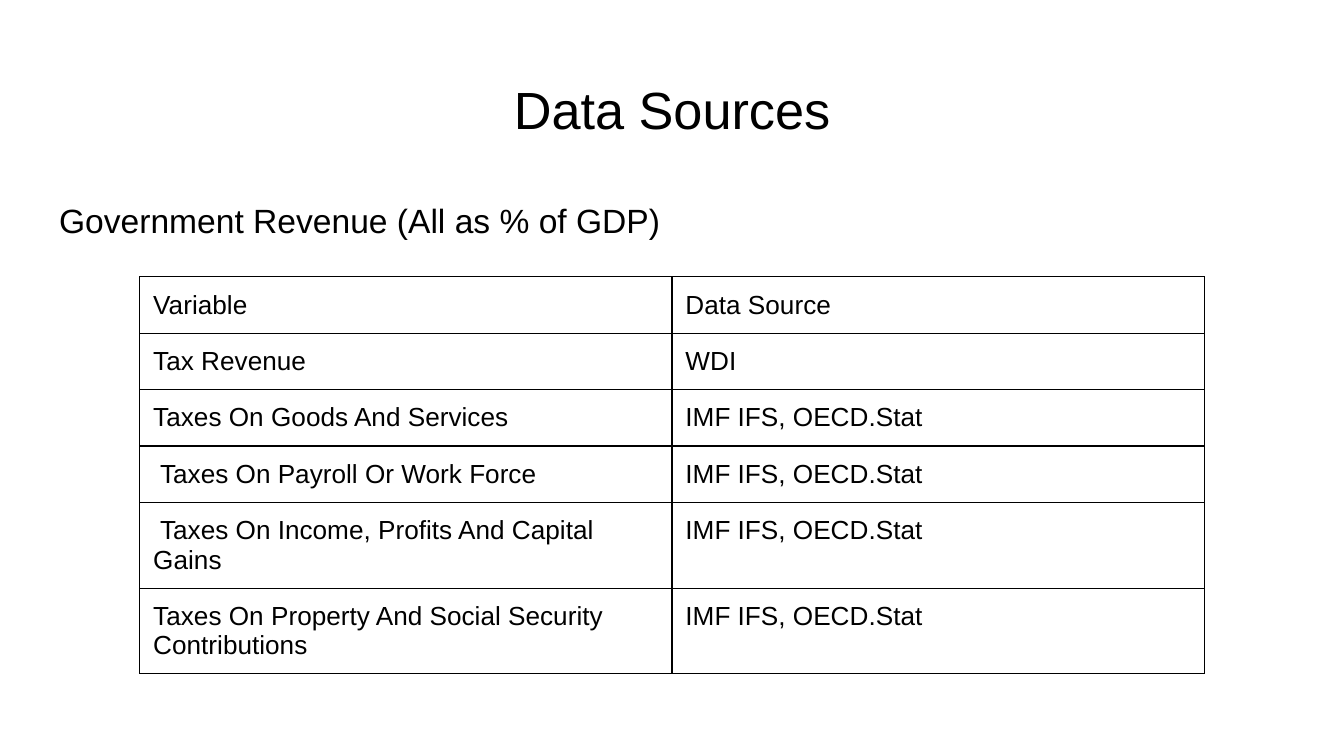
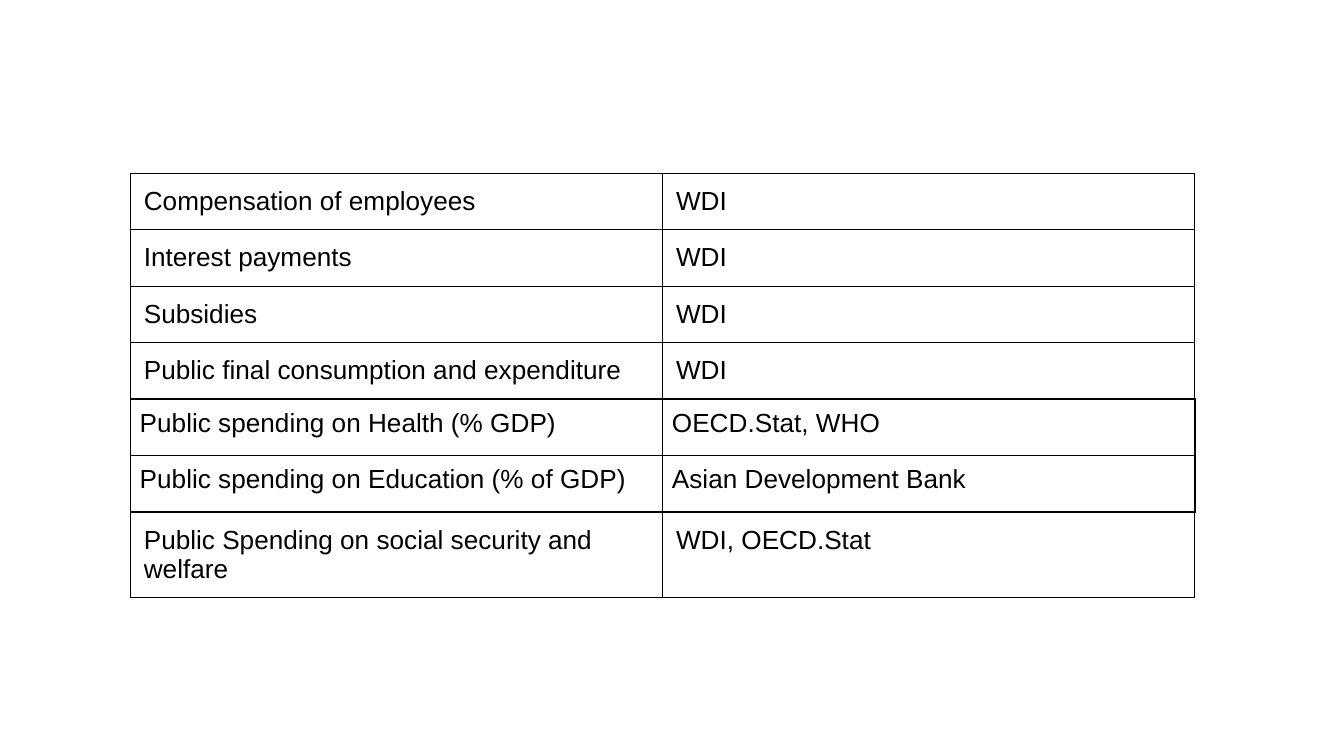
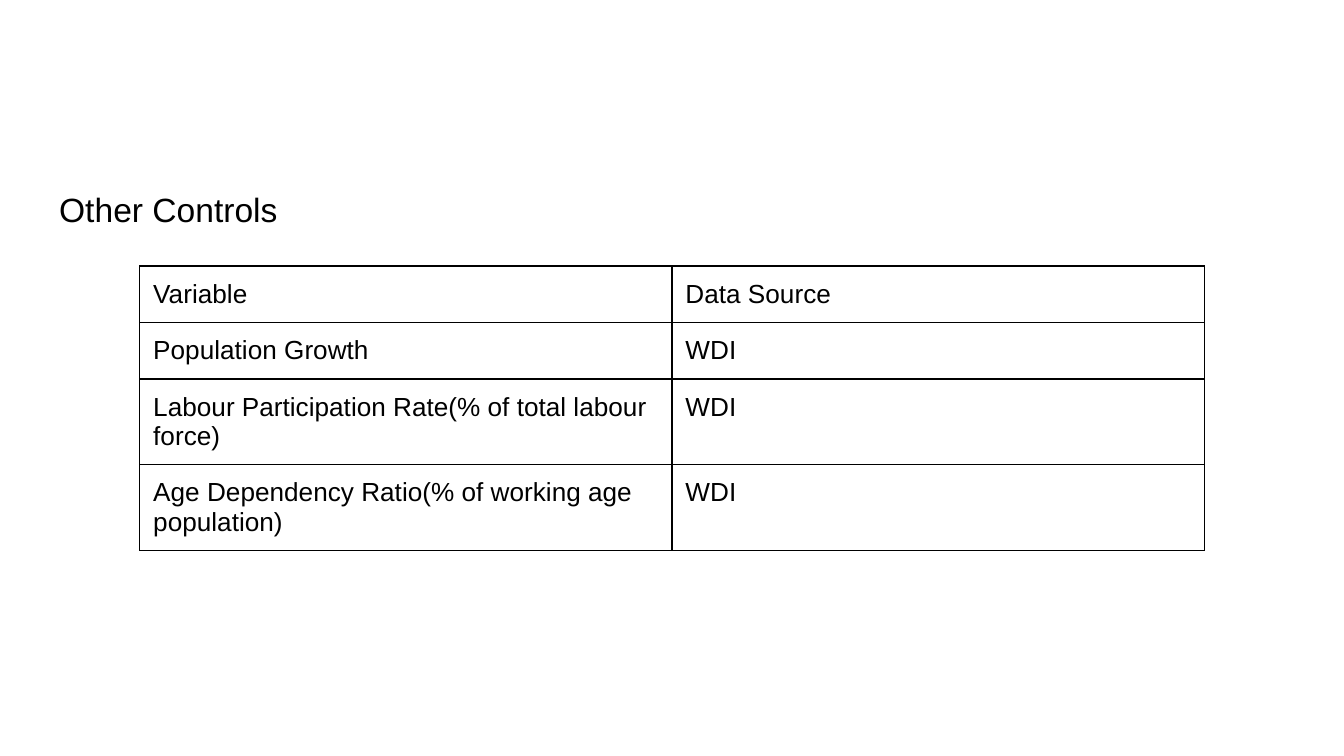
"""Build three slides that list the data sources of a study in tables."""
from pptx import Presentation
from pptx.dml.color import RGBColor
from pptx.enum.text import MSO_ANCHOR, MSO_AUTO_SIZE, PP_ALIGN
from pptx.oxml import parse_xml
from pptx.oxml.ns import nsdecls
from pptx.util import Inches, Pt

MIDDLE, TOP = MSO_ANCHOR.MIDDLE, MSO_ANCHOR.TOP
CENTER, LEFT = PP_ALIGN.CENTER, PP_ALIGN.LEFT
NO_FIT = MSO_AUTO_SIZE.NONE

WIDTH = 10
HEIGHT = WIDTH * 9 / 16
MARGIN = 0.34
COL_W, ROW_H = 3.96, 0.42
INSET, TIGHT_INSET = 0.1, 0.07
THIN, THICK = 0.75, 1
FONT, INK, PAPER = "Arial", "000000", "FFFFFF"
TITLE_SIZE, BODY_SIZE, CELL_SIZE = 28, 18, 14
HEADER = ("Variable", "Data Source")

SLIDES = [
    {
        "title": "Data Sources",
        "body": ("Government Revenue (All as % of GDP)", 1.34, 0.49),
        "at": (1.04, 2.06),
        "tight": (),
        "rows": [
            HEADER,
            ("Tax Revenue", "WDI"),
            ("Taxes On Goods And Services", "IMF IFS, OECD.Stat"),
            (" Taxes On Payroll Or Work Force", "IMF IFS, OECD.Stat"),
            (" Taxes On Income, Profits And Capital\nGains", "IMF IFS, OECD.Stat"),
            ("Taxes On Property And Social Security Contributions", "IMF IFS, OECD.Stat"),
        ],
    },
    {
        "title": None,
        "body": None,
        "at": (0.97, 1.29),
        "tight": (4, 5),
        "rows": [
            ("Compensation of employees", "WDI"),
            ("Interest payments", "WDI"),
            ("Subsidies", "WDI"),
            ("Public final consumption and expenditure", "WDI"),
            ("Public spending on Health (% GDP)", "OECD.Stat, WHO"),
            ("Public spending on Education (% of GDP)", "Asian Development Bank"),
            ("Public Spending on social security and welfare", "WDI, OECD.Stat"),
        ],
    },
    {
        "title": None,
        "body": ("Other Controls", 1.26, 0.59),
        "at": (1.04, 1.98),
        "tight": (),
        "rows": [
            HEADER,
            ("Population Growth", "WDI"),
            ("Labour Participation Rate(% of total labour force)", "WDI"),
            ("Age Dependency Ratio(% of working age population)", "WDI"),
        ],
    },
]


def rgb(color):
    """Turn a hex string into a colour."""
    return RGBColor.from_string(color)


def write(tf, text, size, align=LEFT):
    """Set the text of a frame and format its paragraphs and runs."""
    tf.text = text
    tf.word_wrap = True
    for p in tf.paragraphs:
        p.alignment = align
        for r in p.runs:
            r.font.name, r.font.size = FONT, Pt(size)
            r.font.color.rgb = rgb(INK)


prs = Presentation()
prs.slide_width, prs.slide_height = Inches(WIDTH), Inches(HEIGHT)

for page in SLIDES:
    s = prs.slides.add_slide(prs.slide_layouts[1])
    s.background.fill.solid()
    s.background.fill.fore_color.rgb = rgb(PAPER)

    title = (page["title"], 0.49, 0.63) if page["title"] else None
    styles = [
        (title, TITLE_SIZE, CENTER, MIDDLE, 1),
        (page["body"], BODY_SIZE, LEFT, TOP, 1.15),
    ]
    for sp, (content, size, align, anchor, spacing) in zip(list(s.placeholders), styles):
        if content is None:
            sp.element.getparent().remove(sp.element)
            continue
        text, top, height = content
        sp.left, sp.top = Inches(MARGIN), Inches(top)
        sp.width, sp.height = Inches(WIDTH - 2 * MARGIN), Inches(height)
        tf = sp.text_frame
        write(tf, text, size, align)
        tf.auto_size, tf.vertical_anchor = NO_FIT, anchor
        tf.margin_left = tf.margin_right = tf.margin_top = tf.margin_bottom = Inches(INSET)
        p = tf.paragraphs[0]
        p.line_spacing, p.space_before = spacing, Pt(0)
        pPr = p._p.get_or_add_pPr()
        pPr.set("marL", "0")
        pPr.set("indent", "0")
        pPr.append(parse_xml(f"<a:buNone {nsdecls('a')}/>"))

    rows, tight = page["rows"], page["tight"]
    left, top = page["at"]
    table = s.shapes.add_table(
        len(rows), 2, Inches(left), Inches(top), Inches(2 * COL_W), Inches(ROW_H * len(rows))
    ).table
    table.first_row = table.horz_banding = False
    for column in table.columns:
        column.width = Inches(COL_W)
    for i, row in enumerate(rows):
        table.rows[i].height = Inches(ROW_H)
        inset = Inches(TIGHT_INSET if i in tight else INSET)
        neighbours = {"L": (i,), "R": (i,), "T": (i - 1, i), "B": (i, i + 1)}
        for j, text in enumerate(row):
            cell = table.cell(i, j)
            write(cell.text_frame, text, CELL_SIZE)
            cell.margin_left = cell.margin_right = inset
            cell.margin_top = cell.margin_bottom = inset
            tcPr = cell._tc.get_or_add_tcPr()
            for side, near in neighbours.items():
                weight = THICK if any(n in tight for n in near) else THIN
                tcPr.append(parse_xml(
                    f'<a:ln{side} {nsdecls("a")} w="{Pt(weight)}"><a:solidFill>'
                    f'<a:srgbClr val="{INK}"/></a:solidFill></a:ln{side}>'
                ))
            cell.fill.background()

prs.save("out.pptx")
